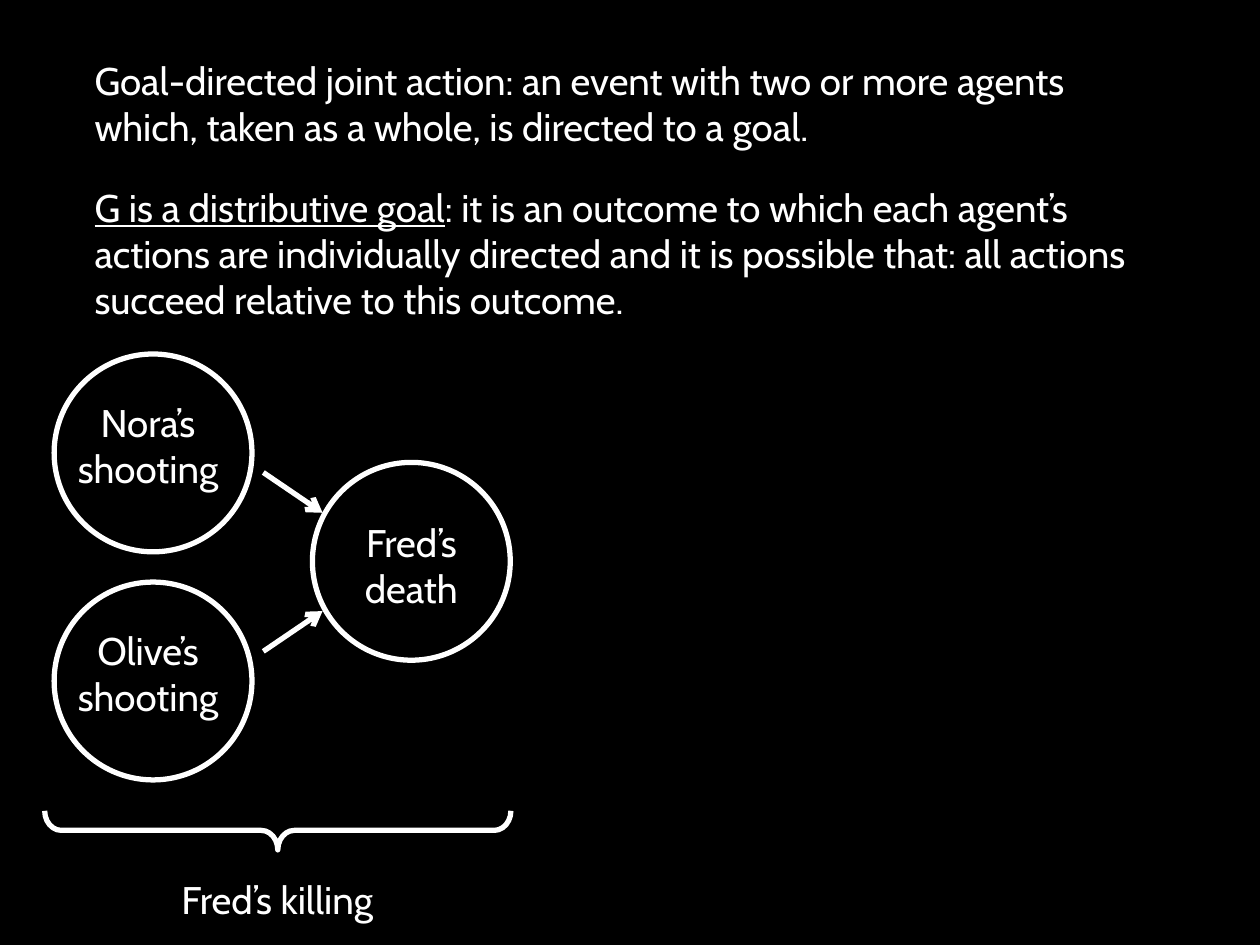
from lxml.etree import SubElement
from pptx import Presentation
from pptx.dml.color import RGBColor
from pptx.enum.shapes import MSO_CONNECTOR, MSO_SHAPE
from pptx.enum.text import MSO_ANCHOR, MSO_AUTO_SIZE, PP_ALIGN
from pptx.oxml.ns import qn
from pptx.util import Inches, Pt


def paint(color_format, hex_color):
    color_format.rgb = RGBColor.from_string(hex_color)


def write(box, spans, align):
    frame_format = {
        "word_wrap": True, "auto_size": MSO_AUTO_SIZE.NONE, "vertical_anchor": MSO_ANCHOR.TOP,
        "margin_left": Inches(0.1), "margin_right": Inches(0.1),
        "margin_top": Inches(0.05), "margin_bottom": Inches(0.05),
    }
    for name, value in frame_format.items():
        setattr(box.text_frame, name, value)
    para = box.text_frame.paragraphs[0]
    for name, value in {"alignment": align, "space_before": Pt(0)}.items():
        setattr(para, name, value)
    for text, underline in spans:
        span = para.add_run()
        span.text = text
        for name, value in {"name": "Cabin", "size": Pt(22), "underline": underline}.items():
            setattr(span.font, name, value)
        paint(span.font.color, WHITE)


BLACK, WHITE = "000000", "FFFFFF"
deck = Presentation()
deck.slide_width, deck.slide_height = Inches(10), Inches(7.5)
column, row = deck.slide_width / 100, deck.slide_height / 75
page = deck.slides.add_slide(deck.slide_layouts[1])
page.background.fill.solid()
paint(page.background.fill.fore_color, BLACK)

definition = page.placeholders[1]
statement = page.shapes.title
statements = [
    (definition, 14.1, 86.8, 12.1, [
        ("G is a distributive goal", True),
        (": it is an outcome to which each agent’s actions are individually directed "
         "and it is possible that: all actions succeed relative to this outcome.", False),
    ]),
    (statement, 4, 85.3, 8.4, [
        ("Goal-directed joint action: an event with two or more agents which, "
         "taken as a whole, is directed to a goal.", False),
    ]),
]
for box, top, width, height, spans in statements:
    place = {"left": 6.5 * column, "top": top * row, "width": width * column, "height": height * row}
    for name, value in place.items():
        setattr(box, name, int(value))
    write(box, spans, PP_ALIGN.LEFT)

definition.fill.solid()
paint(definition.fill.fore_color, BLACK)
bullet_format = definition.text_frame.paragraphs[0]._p.get_or_add_pPr()
for name in ("marL", "indent"):
    bullet_format.set(name, "0")
SubElement(bullet_format, qn("a:buNone"))

labels = [
    ("Nora’s shooting", 3.9, 31.2, 15.7, 8.4),
    ("Olive’s shooting", 3.9, 49.3, 15.7, 8.4),
    ("Fred’s death", 24.8, 40.7, 15.7, 8.4),
    ("Fred’s killing", 4.7, 69, 34.6, 4.7),
]
for text, left, top, width, height in labels:
    box = page.shapes.add_textbox(int(left * column), int(top * row), int(width * column), int(height * row))
    write(box, [(text, False)], PP_ALIGN.CENTER)

outlines = [
    (MSO_SHAPE.OVAL, 4.3, 28.1, 15.7, 15.7),
    (MSO_SHAPE.OVAL, 4.3, 46.2, 15.7, 15.7),
    (MSO_SHAPE.OVAL, 24.8, 36.7, 15.7, 15.7),
    (MSO_SHAPE.LEFT_BRACE, 20.5, 47.4, 3.1, 37),
]
for kind, left, top, width, height in outlines:
    outline = page.shapes.add_shape(
        kind, int(left * column), int(top * row), int(width * column), int(height * row))
    outline.shadow.inherit = False
    outline.fill.background()
    outline.line.width = Pt(3)
    paint(outline.line.color, WHITE)
    if kind == MSO_SHAPE.LEFT_BRACE:
        outline.rotation = 270
        outline.adjustments[0] = 0.425

for start, end in [(37.5, 40.7), (51.7, 48.5)]:
    arrow = page.shapes.add_connector(
        MSO_CONNECTOR.STRAIGHT, int(20.9 * column), int(start * row), int(25.6 * column), int(end * row))
    arrow.line.width = Pt(3)
    paint(arrow.line.color, WHITE)
    SubElement(arrow.line._get_or_add_ln(), qn("a:tailEnd"), type="arrow")
    SubElement(arrow._element.spPr, qn("a:effectLst"))

deck.save("out.pptx")
